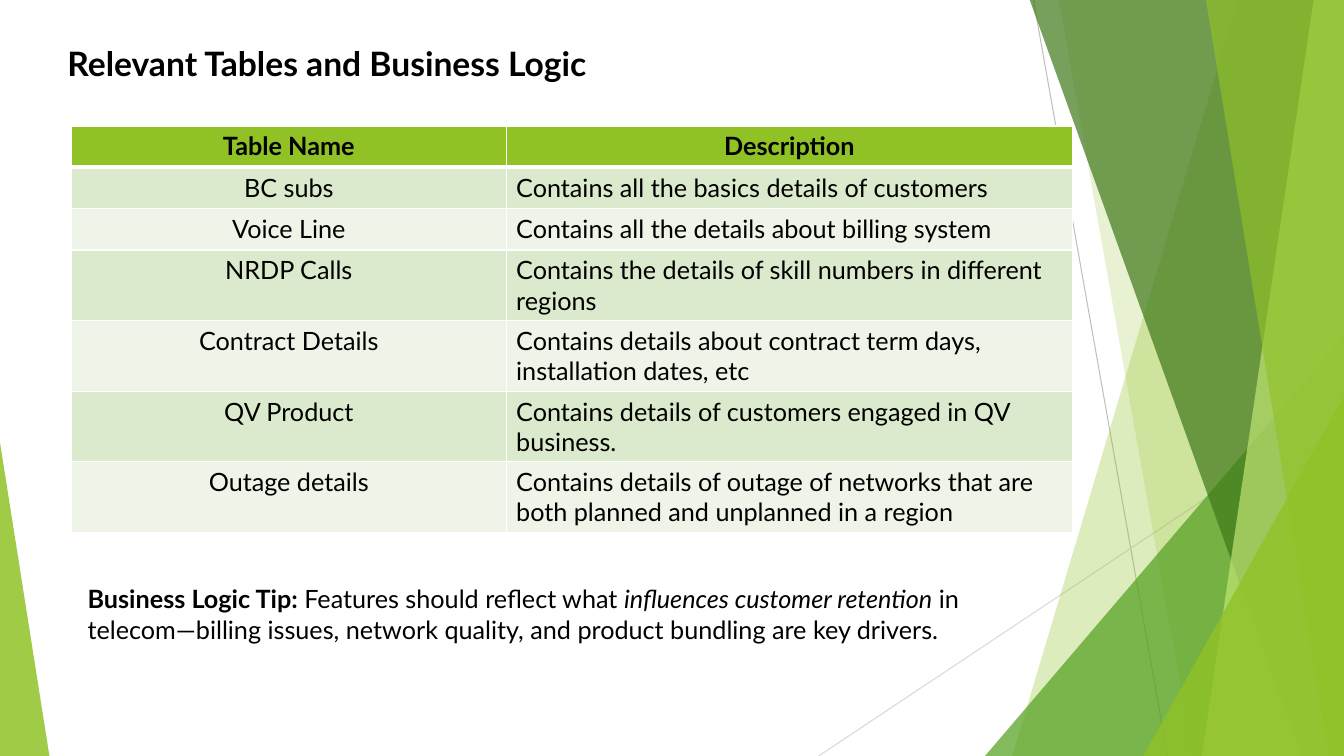
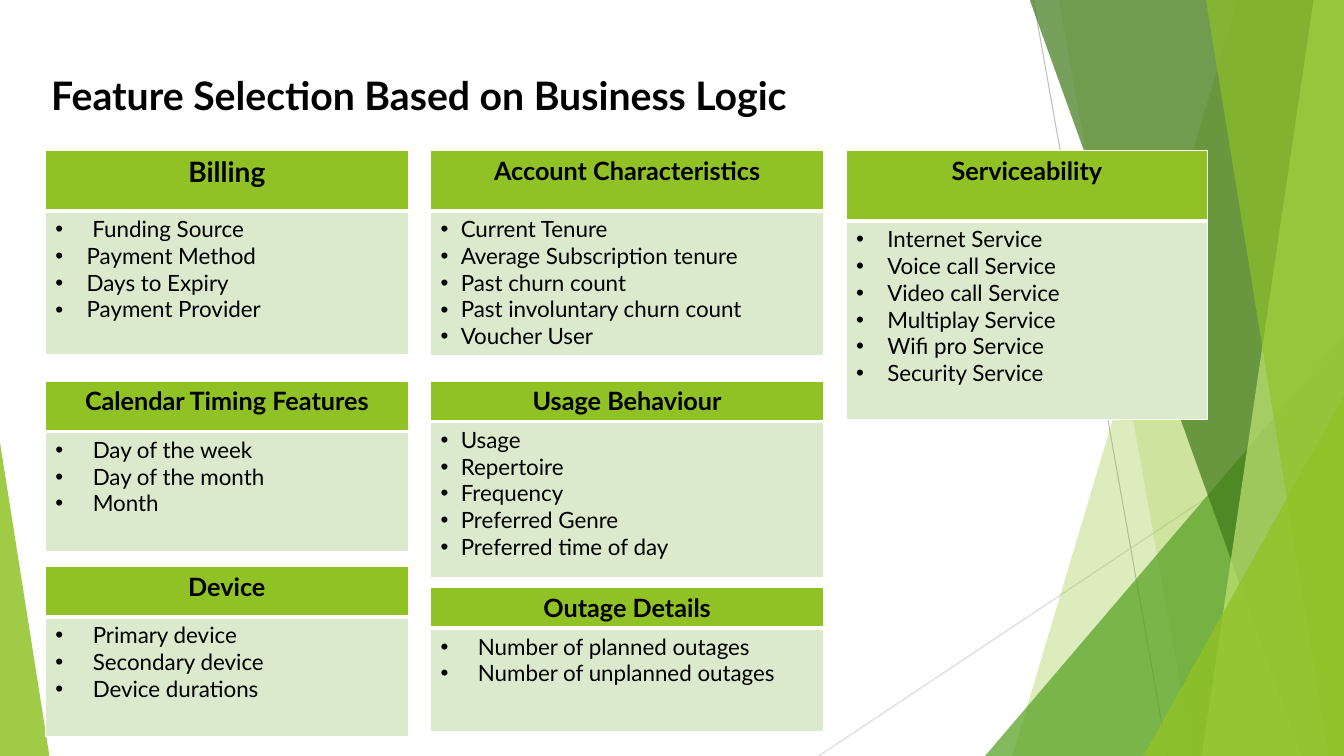
from lxml import etree
from pptx import Presentation
from pptx import util as u
from pptx.dml import color
from pptx.enum import shapes, text
from pptx.oxml import ns

FONT = "Lato"
BLACK, WHITE = "000000", "FFFFFF"
LIME, GREEN, FOREST, PALE = "90C226", "54A021", "3F7819", "C0E474"
BODY_DARK, BODY_LIGHT = "DBE9CD", "EEF4E8"
WIDTH, HEIGHT, BAND_TOP = 13.33, 7.5, -0.01


def paint(fill, value):
    fill.solid()
    fill.fore_color.rgb = color.RGBColor.from_string(value)


def style(para, size, bold):
    for span in para.runs:
        span.font.name = FONT
        span.font.size = u.Pt(size)
        span.font.bold = bold
        paint(span.font.fill, BLACK)


deck = Presentation()
deck.slide_width, deck.slide_height = u.Inches(WIDTH), u.Inches(HEIGHT)
layout = deck.slide_layouts[6]
for holder in list(layout.placeholders):
    layout.shapes.element.remove(holder.element)
tables_page = deck.slides.add_slide(layout)
features_page = deck.slides.add_slide(layout)

backdrop = []
for start_x, start_y, end_x, end_y, value in [
    (10.25, 0, 11.58, HEIGHT, "BFBFBF"),
    (WIDTH, 4.03, 8.12, HEIGHT, "D9D9D9"),
]:
    line = tables_page.shapes.add_connector(
        shapes.MSO_CONNECTOR.STRAIGHT,
        u.Inches(start_x), u.Inches(start_y), u.Inches(end_x), u.Inches(end_y),
    )
    paint(line.line.fill, value)
    line.line.width = u.Pt(0.75)
    etree.SubElement(line.element.spPr, ns.qn("a:effectLst"))
    backdrop.append(line)

for kind, place, value, alpha in [
    ("band", (12.28, 10.04), LIME, 30),
    ("band", (10.5, 11.83), LIME, 20),
    ("triangle", (9.77, 3.33, 3.56, 1), GREEN, 72),
    ("band", (10.21, 12.91), FOREST, 70),
    ("band", (13.03, 11.92), PALE, 70),
    ("band", (11.96, 13.18), LIME, 65),
    ("triangle", (11.34, 3.93, 1.99, 1), LIME, 80),
    ("triangle", (0, 4.39, 0.49, 0), LIME, 85),
]:
    if kind == "band":
        top_x, bottom_x = place
        corners = [(top_x, BAND_TOP), (WIDTH, BAND_TOP), (WIDTH, HEIGHT), (bottom_x, HEIGHT)]
        points = [(u.Inches(x), u.Inches(y)) for x, y in corners]
        outline = tables_page.shapes.build_freeform(*points[0])
        outline.add_line_segments(points[1:], close=True)
        shape = outline.convert_to_shape()
    else:
        left, top, width, apex = place
        shape = tables_page.shapes.add_shape(
            shapes.MSO_SHAPE.ISOSCELES_TRIANGLE,
            u.Inches(left), u.Inches(top), u.Inches(width), u.Inches(HEIGHT - top),
        )
        shape.adjustments[0] = apex
    paint(shape.fill, value)
    tint = shape.element.spPr.find(".//" + ns.qn("a:srgbClr"))
    etree.SubElement(tint, ns.qn("a:alpha"), val=str(alpha * 1000))
    shape.line.fill.background()
    shape.shadow.inherit = False
    backdrop.append(shape)

for shape in backdrop:
    layout.shapes.element.append(shape.element)

for page, left, top, width, height, size, wording in [
    (tables_page, 0.57, 0.38, 11.24, 0.87, 24, "Relevant Tables and Business Logic"),
    (features_page, 0.41, 0.66, 8.97, 0.57, 28, "Feature Selection Based on Business Logic"),
]:
    box = page.shapes.add_textbox(u.Inches(left), u.Inches(top), u.Inches(width), u.Inches(height))
    box.text_frame.word_wrap = True
    box.text_frame.text = wording
    style(box.text_frame.paragraphs[0], size, True)

table_rows = [
    ("Table Name", "Description"),
    ("BC subs", "Contains all the basics details of customers"),
    ("Voice Line", "Contains all the details about billing system"),
    ("NRDP Calls", "Contains the details of skill numbers in different regions"),
    ("Contract Details", "Contains details about contract term days, installation dates, etc"),
    ("QV Product", "Contains details of customers engaged in QV business."),
    ("Outage details", "Contains details of outage of networks that are both planned and unplanned in a region"),
]
grids = [(tables_page, 0.71, 1.25, [4.31, 5.62], [0.41] * 3 + [0.7] * 4, 18, 18, 0, table_rows)]

for left, width, cards in [
    (0.45, 3.6, [
        (1.49, 0.6, 1.43, 20, 0.31, "Billing",
         " Funding Source\nPayment Method\nDays to Expiry\nPayment Provider"),
        (3.78, 0.5, 1.19, 18, 0.37, "Calendar Timing Features",
         "Day of the week\nDay of the month\nMonth"),
        (5.62, 0.5, 1.19, 18, 0.37, "Device",
         "Primary device\nSecondary device\nDevice durations"),
    ]),
    (4.27, 3.9, [
        (1.49, 0.6, 1.43, 18, 0.2, "Account Characteristics",
         "Current Tenure\nAverage Subscription tenure\nPast churn count\n"
         "Past involuntary churn count\nVoucher User"),
        (3.78, 0.4, 1.55, 18, 0.2, "Usage Behaviour",
         "Usage\nRepertoire\nFrequency\nPreferred Genre\nPreferred time of day"),
        (5.83, 0.4, 1.03, 18, 0.37, "Outage Details",
         "Number of planned outages\nNumber of unplanned outages"),
    ]),
    (8.39, 3.59, [
        (1.49, 0.7, 1.97, 18, 0.31, "Serviceability",
         "Internet Service\nVoice call Service\nVideo call Service\n"
         "Multiplay Service\nWifi pro Service\nSecurity Service"),
    ]),
]:
    for top, head, body, size, indent, title, items in cards:
        grids.append((features_page, left, top, [width], [head, body], size, 16, indent,
                      [(title,), (items,)]))

for page, left, top, widths, heights, head_size, body_size, indent, rows in grids:
    table = page.shapes.add_table(
        len(rows), len(widths), u.Inches(left), u.Inches(top),
        u.Inches(sum(widths)), u.Inches(sum(heights)),
    ).table
    for column, width in zip(table.columns, widths):
        column.width = u.Inches(width)
    for row, height in zip(table.rows, heights):
        row.height = u.Inches(height)
    for r, row in enumerate(rows):
        for c, wording in enumerate(row):
            cell = table.cell(r, c)
            cell.text_frame.text = wording
            paint(cell.fill, LIME if r == 0 else BODY_DARK if r % 2 else BODY_LIGHT)
            for para in cell.text_frame.paragraphs:
                style(para, body_size if r else head_size, r == 0)
                if r == 0 or (c == 0 and len(widths) > 1):
                    para.alignment = text.PP_ALIGN.CENTER
                elif indent:
                    properties = para._p.get_or_add_pPr()
                    properties.set("marL", str(u.Inches(indent)))
                    properties.set("indent", str(-u.Inches(indent)))
                    etree.SubElement(properties, ns.qn("a:buFont"), typeface="Arial")
                    etree.SubElement(properties, ns.qn("a:buChar"), char="•")
            cell_format = cell._tc.get_or_add_tcPr()
            for place, side in enumerate("LRTB"):
                thick = (r, side) in [(0, "B"), (1, "T")]
                edge = etree.Element(ns.qn("a:ln" + side), w=str(u.Pt(3 if thick else 1)))
                fill = etree.SubElement(edge, ns.qn("a:solidFill"))
                etree.SubElement(fill, ns.qn("a:srgbClr"), val=WHITE)
                cell_format.insert(place, edge)

tip = tables_page.shapes.add_textbox(u.Inches(0.77), u.Inches(5.74), u.Inches(9.31), u.Inches(0.71))
tip.text_frame.word_wrap = True
para = tip.text_frame.paragraphs[0]
for wording in [
    "Business Logic Tip:",
    " Features should reflect what ",
    "influences customer retention",
    " in telecom—billing issues, network quality, and product bundling are key drivers.",
]:
    para.add_run().text = wording
style(para, 18, False)
para.runs[0].font.bold = True
para.runs[2].font.italic = True

deck.save("out.pptx")
